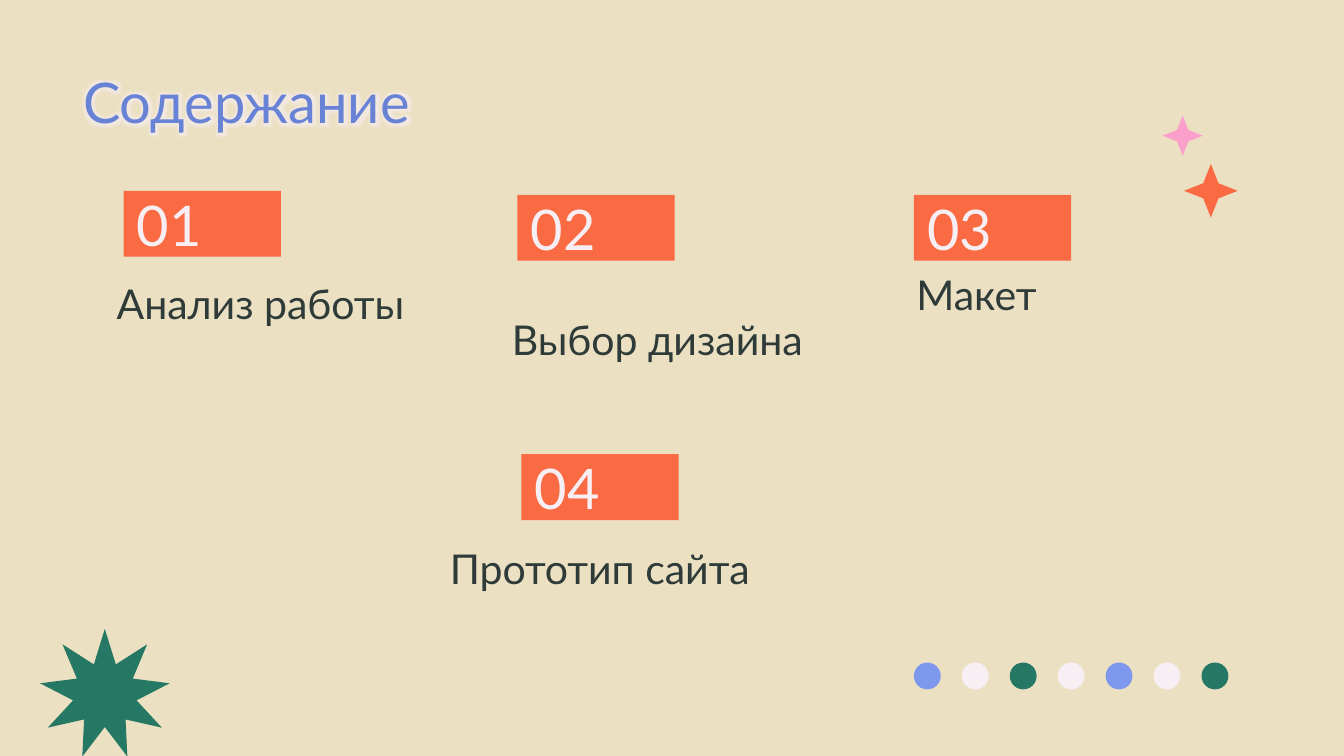
from dataclasses import dataclass
from itertools import cycle
from math import cos, pi, sin

from lxml import etree
from pptx import Presentation
from pptx import util as u
from pptx.dml.color import RGBColor
from pptx.enum import shapes, text
from pptx.oxml import ns

SAND = RGBColor(0xEC, 0xE0, 0xC3)
BLUE = RGBColor(0x68, 0x82, 0xD6)
PERIWINKLE = RGBColor(0x7E, 0x98, 0xEE)
ORANGE = RGBColor(0xFA, 0x6B, 0x44)
PINK = RGBColor(0xFA, 0xA0, 0xCB)
PALE = RGBColor(0xF7, 0xEF, 0xF4)
GREEN = RGBColor(0x25, 0x78, 0x63)
DARK = RGBColor(0x2E, 0x3B, 0x38)
FONT = "Lato"


@dataclass
class Box:
    left: float
    top: float
    width: float
    height: float

    def lengths(self) -> list[u.Length]:
        return [u.Inches(v) for v in (self.left, self.top, self.width, self.height)]


@dataclass
class Topic:
    number: str
    label: str
    tag_left: float
    tag_top: float
    label_box: Box


@dataclass
class Star:
    x: float
    y: float
    points: int
    outer: float
    inner: float
    color: RGBColor


TOPICS = [
    Topic("01", "Анализ работы", 0.92, 1.42, Box(0.77, 1.91, 3.09, 0.63)),
    Topic("02", "Выбор дизайна", 3.85, 1.45, Box(3.71, 1.98, 3.09, 0.83)),
    Topic("03", "Макет", 6.8, 1.45, Box(6.72, 1.73, 2.32, 0.74)),
    Topic("04", "Прототип сайта", 3.88, 3.38, Box(3.25, 3.77, 2.97, 0.74)),
]
STARS = [
    Star(0.78, 5.17, 9, 0.49, 0.24, GREEN),
    Star(9.01, 1.42, 4, 0.2, 0.08, ORANGE),
    Star(8.8, 1.01, 4, 0.15, 0.06, PINK),
]


def paint(s, color: RGBColor) -> None:
    s.shadow.inherit = False
    s.fill.solid()
    s.fill.fore_color.rgb = color
    s.line.fill.background()


def write(s, words: str, size: float, color: RGBColor, anchor):
    tf = s.text_frame
    tf.word_wrap = True
    tf.vertical_anchor = anchor
    tf.margin_left = tf.margin_right = tf.margin_top = tf.margin_bottom = u.Inches(0.1)
    p = tf.paragraphs[0]
    p.alignment = text.PP_ALIGN.LEFT
    p.font.name = FONT
    p.font.size = u.Pt(size)
    p.font.color.rgb = color
    r = p.add_run()
    r.text = words
    return r


def add_glow(r, color: RGBColor, radius: float) -> None:
    effects = etree.SubElement(r.font._element, ns.qn("a:effectLst"))
    glow = etree.SubElement(effects, ns.qn("a:glow"), rad=str(u.Pt(radius)))
    tint = etree.SubElement(glow, ns.qn("a:srgbClr"), val=str(color))
    etree.SubElement(tint, ns.qn("a:alpha"), val="60000")


def add_topic(slide, topic: Topic) -> None:
    tag = Box(topic.tag_left, topic.tag_top, 1.17, 0.49)
    s = slide.shapes.add_shape(shapes.MSO_SHAPE.RECTANGLE, *tag.lengths())
    paint(s, ORANGE)
    write(s, topic.number, 30, PALE, text.MSO_ANCHOR.MIDDLE)
    label = slide.shapes.add_textbox(*topic.label_box.lengths())
    write(label, topic.label, 22, DARK, text.MSO_ANCHOR.BOTTOM)


def add_star(slide, star: Star) -> None:
    corners = []
    for i in range(2 * star.points):
        radius = star.inner if i % 2 else star.outer
        angle = pi * i / star.points
        corners.append((u.Inches(star.x + radius * sin(angle)),
                        u.Inches(star.y - radius * cos(angle))))
    outline = slide.shapes.build_freeform(*corners[0])
    outline.add_line_segments(corners[1:], close=True)
    paint(outline.convert_to_shape(), star.color)


def add_dots(slide, count: int, left: float, top: float, size: float, step: float) -> None:
    group = slide.shapes.add_group_shape()
    for i, color in zip(range(count), cycle([PERIWINKLE, PALE, GREEN, PALE])):
        dot = Box(left + i * step, top, size, size)
        paint(group.shapes.add_shape(shapes.MSO_SHAPE.OVAL, *dot.lengths()), color)


def main() -> None:
    prs = Presentation()
    prs.slide_width = u.Inches(10)
    prs.slide_height = u.Inches(10 * 9 / 16)
    slide = prs.slides.add_slide(prs.slide_layouts[6])
    slide.background.fill.solid()
    slide.background.fill.fore_color.rgb = SAND

    # Heading
    heading = slide.shapes.add_textbox(*Box(0.52, 0.4, 8.43, 0.63).lengths())
    r = write(heading, "Содержание", 30, BLUE, text.MSO_ANCHOR.TOP)
    add_glow(r, PALE, 8)

    # Numbered topics
    for topic in TOPICS:
        add_topic(slide, topic)

    # Decoration
    for star in STARS:
        add_star(slide, star)
    add_dots(slide, 7, left=6.8, top=4.93, size=0.2, step=2.14 / 6)

    prs.save("out.pptx")


if __name__ == "__main__":
    main()
